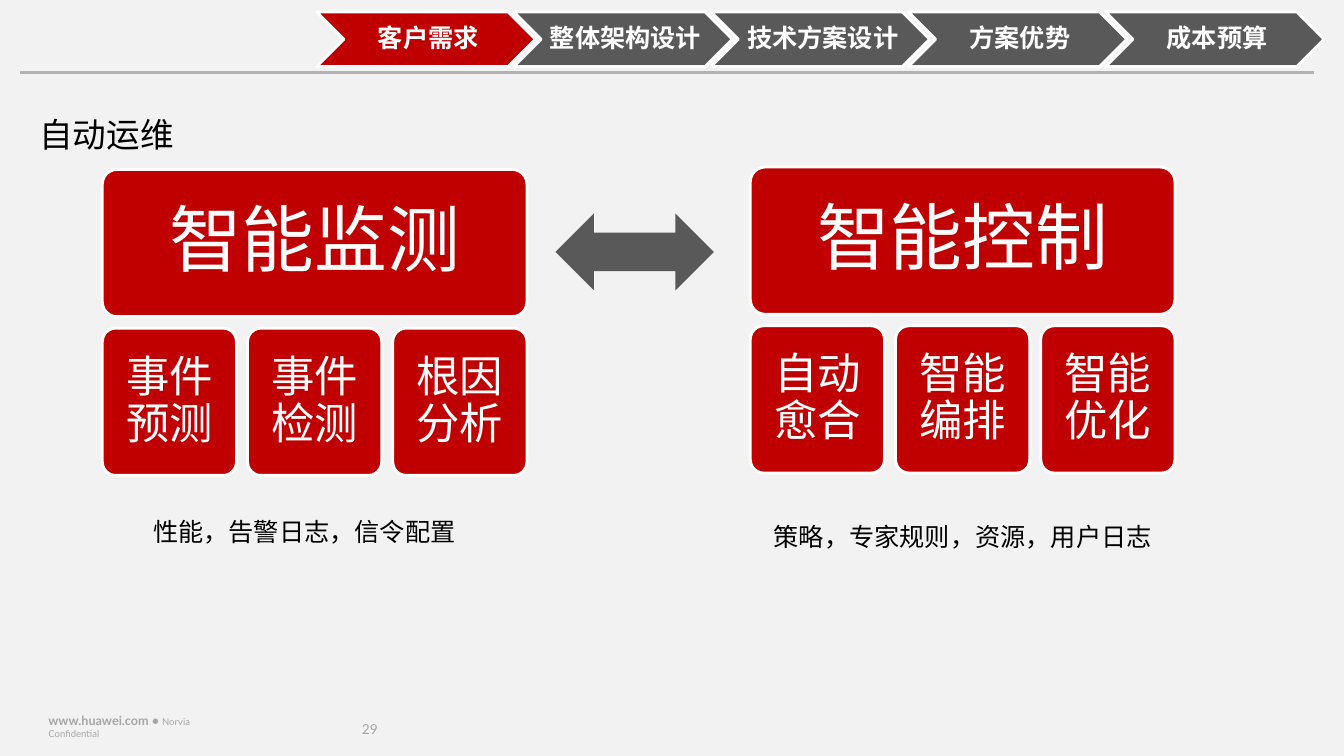
"""Build the slide on automatic operations: monitoring and control."""
from dataclasses import dataclass

from lxml import etree
from pptx import Presentation
from pptx import util as u
from pptx.dml.color import RGBColor
from pptx.enum import shapes, text
from pptx.oxml.ns import qn

RED = RGBColor(0xC0, 0x00, 0x00)
DARK = RGBColor(0x59, 0x59, 0x59)
RULE = RGBColor(0xB2, 0xB2, 0xB2)
PALE = RGBColor(0xA6, 0xA6, 0xA6)
PAPER = RGBColor(0xF2, 0xF2, 0xF2)
WHITE = RGBColor(0xFF, 0xFF, 0xFF)
BLACK = RGBColor(0x00, 0x00, 0x00)
LATO = "Lato"
NOTO = "Noto Sans CJK SC"

KIND = shapes.MSO_SHAPE
MID = text.MSO_ANCHOR.MIDDLE
TOP = text.MSO_ANCHOR.TOP


@dataclass
class Box:
    left: float
    top: float
    width: float
    height: float

    def place(self) -> tuple:
        """Give the four lengths in slide units."""
        return tuple(u.Cm(v) for v in (self.left, self.top, self.width, self.height))


@dataclass
class Style:
    size: float
    face: str = LATO
    hue: RGBColor = BLACK
    bold: bool = False


@dataclass
class Panel:
    left: float
    top: float
    head: str
    skills: tuple
    note: str
    spot: Box


STEPS = ("客户需求", "整体架构设计", "技术方案设计", "方案优势", "成本预算")
PANELS = (
    Panel(2.58, 4.27, "智能监测", ("事件预测", "事件检测", "根因分析"),
          "性能，告警日志，信令配置", Box(3.61, 12.88, 10.39, 1.02)),
    Panel(18.91, 4.21, "智能控制", ("自动愈合", "智能编排", "智能优化"),
          "策略，专家规则，资源，用户日志", Box(19.25, 13, 10.06, 1.8)),
)


def add_run(para, words: str, style: Style) -> None:
    """Append one styled run."""
    run = para.add_run()
    run.text = words
    font = run.font
    font.size, font.bold = u.Pt(style.size), style.bold
    font.color.rgb, font.name = style.hue, style.face
    etree.SubElement(run._r.get_or_add_rPr(), qn("a:ea"), typeface=NOTO)


def set_frame(frame, pads: tuple, anchor, wrap: bool = True) -> None:
    """Set insets, anchor and wrapping of a text frame."""
    frame.auto_size = text.MSO_AUTO_SIZE.NONE
    frame.word_wrap, frame.vertical_anchor = wrap, anchor
    (frame.margin_left, frame.margin_top,
     frame.margin_right, frame.margin_bottom) = (u.Cm(v) for v in pads)


def add_block(slide, kind, box: Box, fill: RGBColor, edge: bool = True):
    """Draw a filled shape, with a white edge if asked."""
    block = slide.shapes.add_shape(kind, *box.place())
    block.shadow.inherit = False
    block.fill.solid()
    block.fill.fore_color.rgb = fill
    if edge:
        block.line.color.rgb, block.line.width = WHITE, u.Pt(2)
    else:
        block.line.fill.background()
    return block


def label(block, words: str, style: Style, pads: tuple, wrap: bool = True) -> None:
    """Write centred text inside a shape."""
    set_frame(block.text_frame, pads, MID, wrap)
    para = block.text_frame.paragraphs[0]
    para.alignment, para.line_spacing = text.PP_ALIGN.CENTER, 0.9
    add_run(para, words, style)


def add_card(slide, box: Box, words: str, size: float, pad: float) -> None:
    """Draw a red rounded card."""
    card = add_block(slide, KIND.ROUNDED_RECTANGLE, box, RED)
    card.adjustments[0] = 0.1
    label(card, words, Style(size, hue=WHITE), (pad,) * 4)


def add_panel(slide, panel: Panel) -> None:
    """Draw a head card, its row of skills and the note below."""
    width, height, small, gap = 10.7, 3.71, 3.38, 0.28
    add_card(slide, Box(panel.left, panel.top, width, height), panel.head, 52, 0.56)
    for i, words in enumerate(panel.skills):
        left = panel.left + i * (small + gap)
        add_card(slide, Box(left, panel.top + 4, small, height), words, 31, 0.33)
    add_text(slide, panel.spot, ((panel.note, Style(18)),))


def add_text(slide, box: Box, runs: tuple, pads: tuple = (0.25, 0.13, 0.25, 0.13),
             anchor=TOP) -> None:
    """Add a text box made of styled runs."""
    frame = slide.shapes.add_textbox(*box.place()).text_frame
    set_frame(frame, pads, anchor)
    for words, style in runs:
        add_run(frame.paragraphs[0], words, style)


def add_title(slide, words: str) -> None:
    """Move and fill the title placeholder."""
    title = slide.shapes.title
    title.left, title.top, title.width, title.height = Box(0.74, 2.74, 7.21, 1.27).place()
    set_frame(title.text_frame, (0.25, 0.13, 0.25, 0.13), TOP)
    para = title.text_frame.paragraphs[0]
    para.alignment = text.PP_ALIGN.LEFT
    add_run(para, words, Style(24, NOTO))


def add_steps(slide) -> None:
    """Draw the chain of steps and the rule under it."""
    for i, words in enumerate(STEPS):
        box = Box(7.98 + i * 4.97, 0.3, 5.51, 1.38)
        step = add_block(slide, KIND.CHEVRON, box, DARK if i else RED)
        label(step, words, Style(18, NOTO, WHITE, True), (0.2, 0.08, 0.08, 0.08), False)
    ends = (u.Cm(v) for v in (0.51, 1.83, 33.12, 1.83))
    rule = slide.shapes.add_connector(shapes.MSO_CONNECTOR.STRAIGHT, *ends)
    rule.line.color.rgb, rule.line.width = RULE, u.Pt(2.25)
    etree.SubElement(rule._element.spPr, qn("a:effectLst"))


def main() -> None:
    """Build and save the slide."""
    deck = Presentation()
    deck.slide_width, deck.slide_height = u.Cm(33.87), u.Cm(19.05)
    slide = deck.slides.add_slide(deck.slide_layouts[5])
    slide.background.fill.solid()
    slide.background.fill.fore_color.rgb = PAPER
    add_text(slide, Box(9.12, 18.11, 1.02, 0.53),
             (("29", Style(9.8, hue=PALE)),), (0,) * 4, MID)
    add_text(slide, Box(1.04, 18.01, 5.1, 0.58),
             (("www.huawei.com • ", Style(9, hue=PALE, bold=True)),
              ("Norvia Confidential", Style(6.8, hue=PALE))),
             (0.18, 0.1, 0.18, 0.1), MID)
    add_steps(slide)
    add_title(slide, "自动运维")
    for panel in PANELS:
        add_panel(slide, panel)
    add_block(slide, KIND.LEFT_RIGHT_ARROW, Box(14, 5.38, 3.99, 1.94), DARK, False)
    deck.save("out.pptx")


if __name__ == "__main__":
    main()
